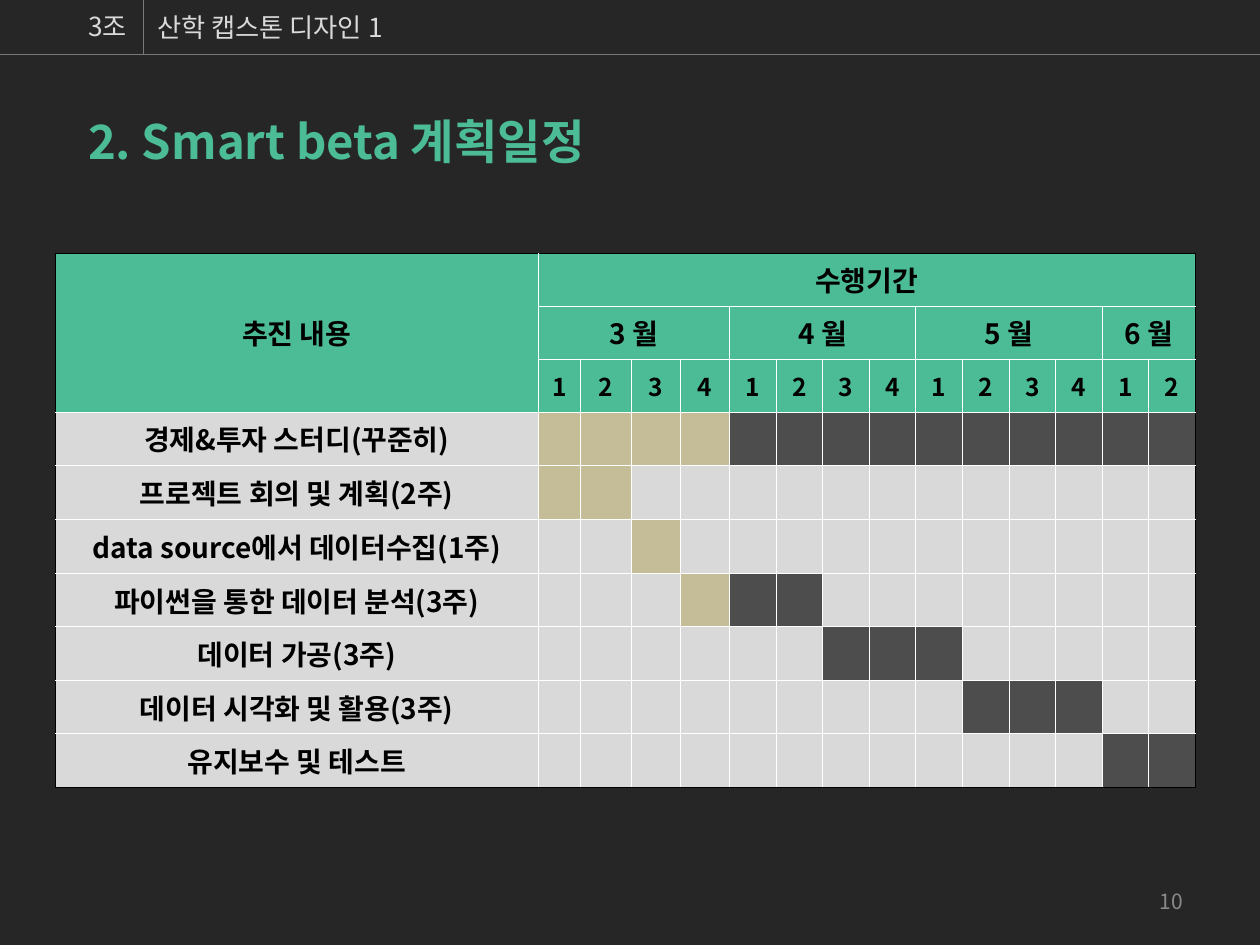
from dataclasses import dataclass

from lxml.etree import SubElement
from pptx import Presentation
from pptx.dml.color import RGBColor
from pptx.enum.shapes import MSO_CONNECTOR
from pptx.enum.text import MSO_ANCHOR, PP_ALIGN
from pptx.oxml.ns import qn
from pptx.util import Inches, Pt

FONT = "Noto Sans CJK KR"
COLORS = {
    "background": "262626",
    "accent": "4CBC97",
    "light": "D9D9D9",
    "done": "C4BD97",
    "planned": "4D4D4D",
    "rule": "797979",
    "number": "898989",
    "grid": "FFFFFF",
    "black": "000000",
}
DONE_WEEKS = 4
HEADER_ROWS = 3
COL_WIDTHS = [3.83, 0.34, 0.4, 0.39, 0.39] + [0.37] * 10
ROW_HEIGHTS = [0.4] * HEADER_ROWS + [0.42, 0.43, 0.43, 0.42, 0.43, 0.42, 0.43]


@dataclass
class Label:
    text: str
    left: float
    top: float
    width: float
    height: float
    size: int
    color: str
    bold: bool = False
    align: PP_ALIGN = PP_ALIGN.LEFT
    anchor: MSO_ANCHOR = MSO_ANCHOR.TOP


@dataclass
class Task:
    """A plan row, active from the first to the last week, counted from 1."""
    name: str
    first: int
    last: int


@dataclass
class Month:
    name: str
    weeks: int


LABELS = [
    Label("3조", 0.6, 0.03, 0.71, 0.35, 15, "light"),
    Label("산학 캡스톤 디자인 1", 1.15, 0.04, 3.78, 0.34, 15, "light"),
    Label("2. Smart beta 계획일정", 0.6, 0.84, 5.98, 0.55, 27, "accent", bold=True),
    Label("10", 7.16, 6.95, 2.33, 0.4, 12, "number",
          align=PP_ALIGN.RIGHT, anchor=MSO_ANCHOR.MIDDLE),
]
MONTHS = [Month("3 월", 4), Month("4 월", 4), Month("5 월", 4), Month("6 월", 2)]
TASKS = [
    Task("경제&투자 스터디(꾸준히)", 1, 14),
    Task("프로젝트 회의 및 계획(2주)", 1, 2),
    Task("data source에서 데이터수집(1주)", 3, 3),
    Task("파이썬을 통한 데이터 분석(3주)", 4, 6),
    Task("데이터 가공(3주)", 7, 9),
    Task("데이터 시각화 및 활용(3주)", 10, 12),
    Task("유지보수 및 테스트", 13, 14),
]


def rgb(name: str) -> RGBColor:
    return RGBColor.from_string(COLORS[name])


def style_paragraph(p, size: int, color: str, bold: bool, align: PP_ALIGN) -> None:
    p.alignment = align
    p.font.size = Pt(size)
    p.font.bold = bold
    p.font.color.rgb = rgb(color)
    p.font.name = FONT
    # Hangul takes its typeface from the East Asian font
    SubElement(p._p.pPr.find(qn("a:defRPr")), qn("a:ea"), typeface=FONT)


def add_label(slide, label: Label) -> None:
    box = slide.shapes.add_textbox(Inches(label.left), Inches(label.top),
                                   Inches(label.width), Inches(label.height))
    tf = box.text_frame
    tf.word_wrap = True
    tf.vertical_anchor = label.anchor
    p = tf.paragraphs[0]
    p.text = label.text
    style_paragraph(p, label.size, label.color, label.bold, label.align)


def add_rule(slide, x1: float, y1: float, x2: float, y2: float) -> None:
    line = slide.shapes.add_connector(MSO_CONNECTOR.STRAIGHT, Inches(x1), Inches(y1),
                                      Inches(x2), Inches(y2))
    line.line.color.rgb = rgb("rule")
    line.line.width = Pt(0.75)
    SubElement(line._element.spPr, qn("a:effectLst"))


def set_borders(cell, black_sides: str) -> None:
    """Draw all four sides white, except those named by letter in black_sides."""
    tc_pr = cell._tc.get_or_add_tcPr()
    for side in "LRTB":
        ln = SubElement(tc_pr, qn(f"a:ln{side}"), w=str(Pt(0.45)))
        color = "black" if side in black_sides else "grid"
        SubElement(SubElement(ln, qn("a:solidFill")), qn("a:srgbClr"), val=COLORS[color])


def fill_cell(table, row: int, col: int, color: str, text: str = "",
              size: int = 16, rows: int = 1, cols: int = 1) -> None:
    """Style one cell, merged over rows x cols; outer table edges are black."""
    cell = table.cell(row, col)
    bottom, right = row + rows, col + cols
    if rows > 1 or cols > 1:
        cell.merge(table.cell(bottom - 1, right - 1))
    edges = {"L": col == 0, "T": row == 0,
             "R": right == len(COL_WIDTHS), "B": bottom == len(ROW_HEIGHTS)}
    set_borders(cell, "".join(side for side, outer in edges.items() if outer))
    cell.fill.solid()
    cell.fill.fore_color.rgb = rgb(color)
    cell.vertical_anchor = MSO_ANCHOR.MIDDLE
    cell.margin_left = cell.margin_right = Inches(0.02)
    cell.margin_top = cell.margin_bottom = Inches(0.05)
    p = cell.text_frame.paragraphs[0]
    if text:
        p.text = text
        style_paragraph(p, size, "black", True, PP_ALIGN.CENTER)
    else:
        p.font.size = Pt(12)


def fill_header(table) -> None:
    fill_cell(table, 0, 0, "accent", "추진 내용", rows=HEADER_ROWS)
    fill_cell(table, 0, 1, "accent", "수행기간", cols=len(COL_WIDTHS) - 1)
    col = 1
    for month in MONTHS:
        fill_cell(table, 1, col, "accent", month.name, cols=month.weeks)
        for week in range(month.weeks):
            fill_cell(table, 2, col + week, "accent", str(week + 1), size=14)
        col += month.weeks


def fill_task(table, row: int, task: Task) -> None:
    fill_cell(table, row, 0, "light", task.name)
    for week in range(1, len(COL_WIDTHS)):
        color = "light"
        if task.first <= week <= task.last:
            color = "done" if week <= DONE_WEEKS else "planned"
        fill_cell(table, row, week, color)


def add_schedule(slide) -> None:
    frame = slide.shapes.add_table(len(ROW_HEIGHTS), len(COL_WIDTHS), Inches(0.44),
                                   Inches(2.01), Inches(sum(COL_WIDTHS)),
                                   Inches(sum(ROW_HEIGHTS)))
    table = frame.table
    table.first_row = table.horz_banding = False
    for column, width in zip(table.columns, COL_WIDTHS):
        column.width = Inches(width)
    for row, height in zip(table.rows, ROW_HEIGHTS):
        row.height = Inches(height)
    fill_header(table)
    for i, task in enumerate(TASKS, HEADER_ROWS):
        fill_task(table, i, task)


def main() -> None:
    prs = Presentation()
    prs.slide_width, prs.slide_height = Inches(10), Inches(7.5)
    s = prs.slides.add_slide(prs.slide_layouts[6])
    s.background.fill.solid()
    s.background.fill.fore_color.rgb = rgb("background")
    add_schedule(s)
    add_rule(s, 0, 0.43, 10, 0.43)
    add_rule(s, 1.14, 0.43, 1.14, 0)
    for label in LABELS:
        add_label(s, label)
    prs.save("out.pptx")


if __name__ == "__main__":
    main()
